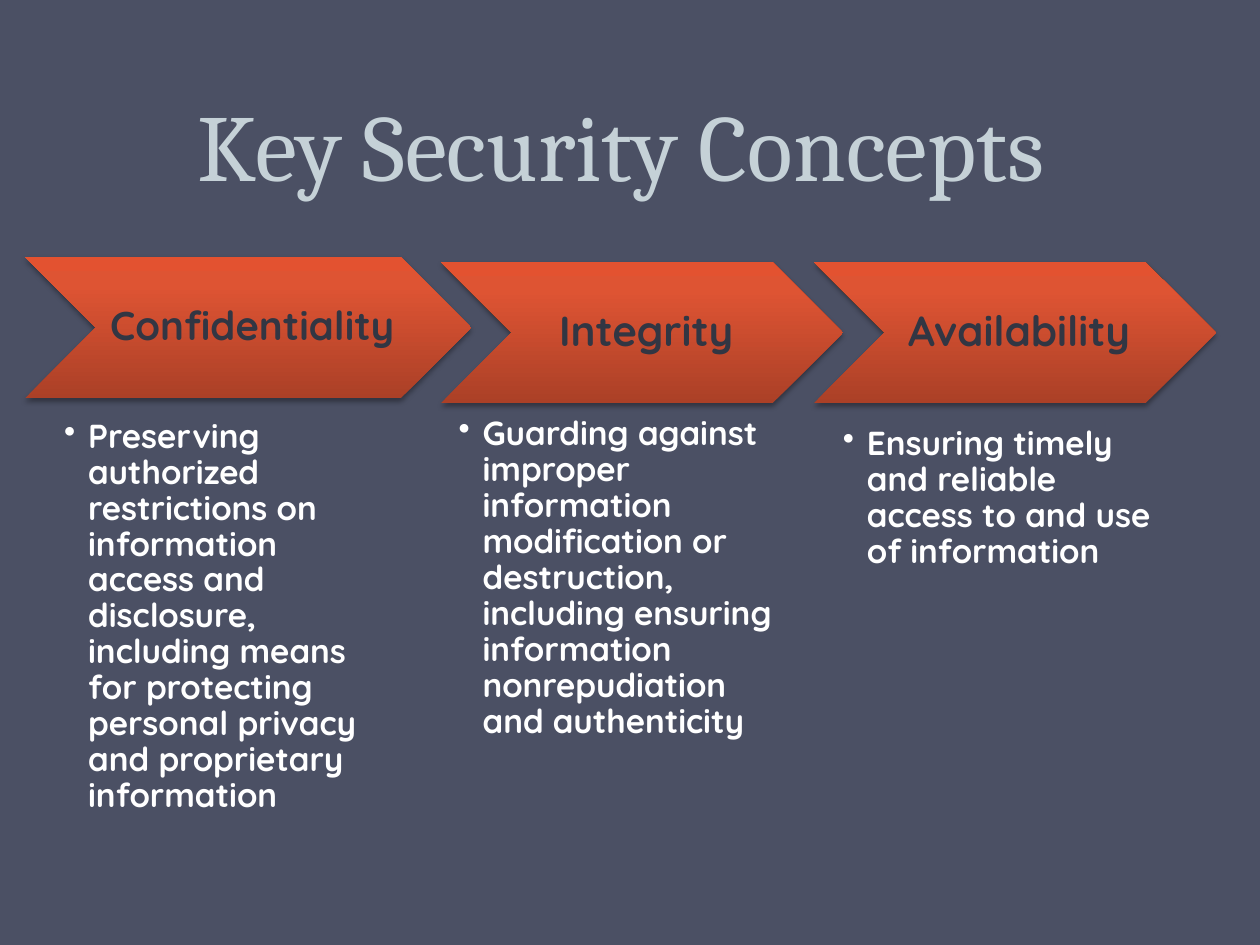
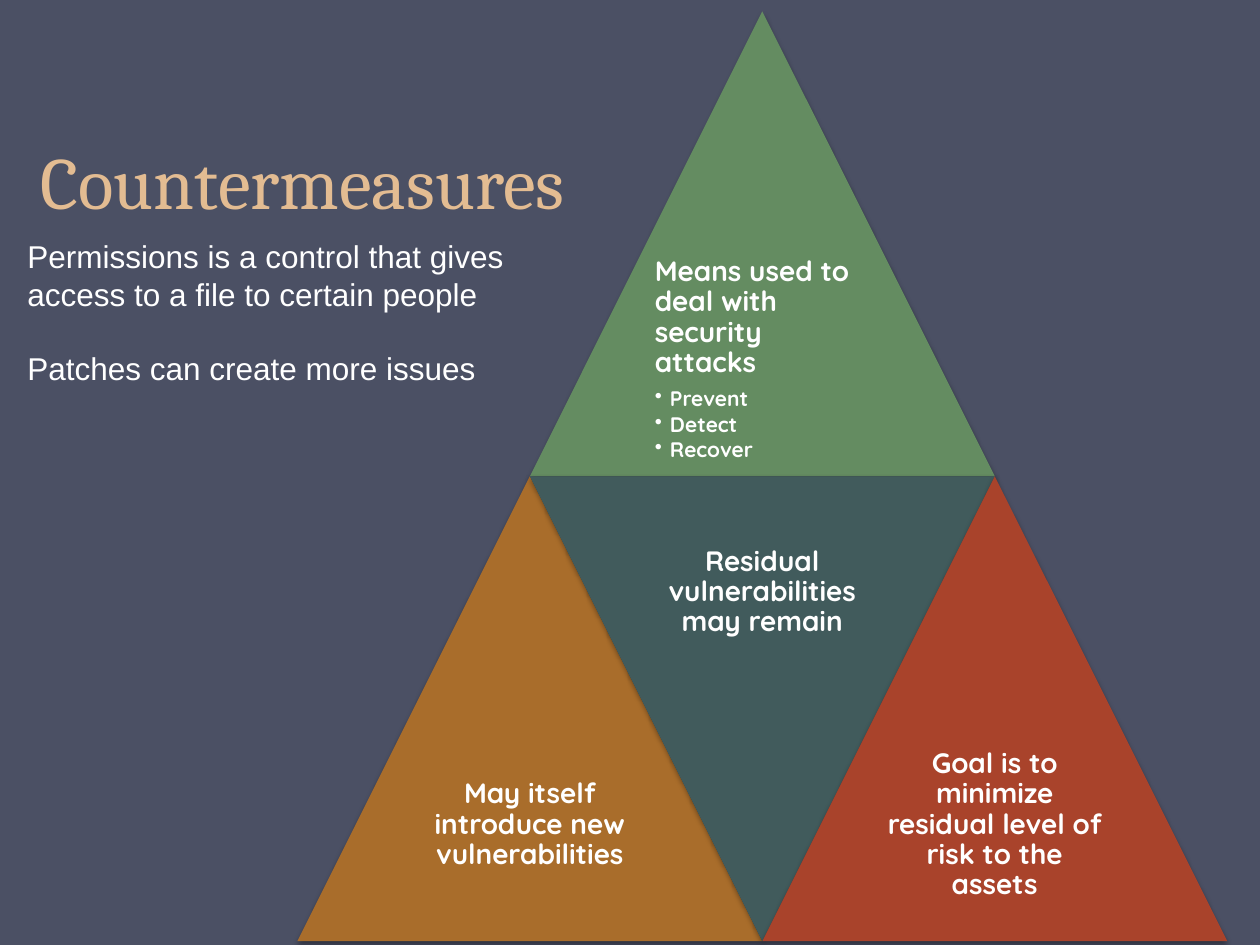
from lxml.etree import SubElement
from pptx import Presentation
from pptx.dml.color import RGBColor as RGB
from pptx.enum.shapes import MSO_SHAPE as SHAPE
from pptx.enum.text import MSO_ANCHOR as ANCHOR, PP_ALIGN as ALIGN
from pptx.oxml.ns import qn
from pptx.util import Inches, Pt

COLORS = {
    "back": "4B5064", "white": "FFFFFF", "dark": "323643",
    "silver": "C5D1D7", "sand": "E3BC92", "shadow": "000000",
    "green": "648C61", "brown": "A96D2B", "teal": "415B5C", "red": "A9432B",
}
ARROW_STOPS = [(0, "AB4027"), (80, "DE5433"), (100, "E35230")]
TITLE = {"font": "Cambria", "line_spacing": Pt(58), "alignment": ALIGN.CENTER}
BODY = {"font": "Quicksand", "bold": True, "line_spacing": 0.9}
MARGINS = ("margin_left", "margin_top", "margin_right", "margin_bottom")
CONCEPTS = [
    ("Confidentiality", 23, (0.2, 2.04, 3.54), (0.51, 3.33, 2.55, 3.89),
     "Preserving authorized restrictions on information access and disclosure, "
     "including means for protecting personal privacy and proprietary information"),
    ("Integrity", 24, (3.5, 2.08, 3.19), (3.64, 3.31, 2.55, 3.73),
     "Guarding against improper information modification or destruction, "
     "including ensuring information nonrepudiation and authenticity"),
    ("Availability", 24, (6.46, 2.08, 3.19), (6.69, 3.39, 2.55, 3.73),
     "Ensuring timely and reliable access to and use of information"),
]


def add_slide(prs):
    """Add a blank slide with the shared background."""
    slide = prs.slides.add_slide(prs.slide_layouts[6])
    fill = slide.background.fill
    fill.solid()
    fill.fore_color.rgb = RGB.from_string(COLORS["back"])
    return slide


def add_text(slide, box, insets=(0.1, 0.05, 0.1, 0.05), anchor=ANCHOR.TOP):
    """Add an empty wrapping text box and return its frame."""
    tf = slide.shapes.add_textbox(*map(Inches, box)).text_frame
    tf.word_wrap = True
    tf.vertical_anchor = anchor
    for name, inset in zip(MARGINS, insets):
        setattr(tf, name, Inches(inset))
    return tf


def add_para(tf, text, size, color="white", font="Arial", bold=False, indent=0, **formats):
    """Write one paragraph, with a hanging bullet if it has an indent."""
    p = tf.paragraphs[0]
    if p.runs:
        p = tf.add_paragraph()
    for name, value in formats.items():
        setattr(p, name, value)
    if indent:
        p.level = 1
        pPr = p._p.get_or_add_pPr()
        pPr.set("marL", str(Inches(indent)))
        pPr.set("indent", str(-Inches(indent)))
        SubElement(pPr, qn("a:buChar"), char="•")
    r = p.add_run()
    r.text = text
    for name, value in {"size": Pt(size), "name": font, "bold": bold}.items():
        setattr(r.font, name, value)
    r.font.color.rgb = RGB.from_string(COLORS[color])


def add_heading(tf, text, size, color="white", alignment=ALIGN.CENTER):
    """Write a diagram label."""
    add_para(tf, text, size, color, alignment=alignment,
             space_after=Pt(0.35 * size), **BODY)


def add_bullet(tf, text, size, indent):
    """Write a diagram bullet."""
    add_para(tf, text, size, indent=indent, space_after=Pt(0.15 * size), **BODY)


def add_title(slide, box, text, size, color):
    """Add the slide title."""
    add_para(add_text(slide, box, anchor=ANCHOR.BOTTOM), text, size, color, **TITLE)


def add_shadowed(slide, kind, box):
    """Add an unlined shape with a soft shadow below it."""
    sp = slide.shapes.add_shape(kind, *map(Inches, box))
    sp.line.fill.background()
    sp.shadow.inherit = False
    effects = sp._element.spPr.find(qn("a:effectLst"))
    shadow = SubElement(effects, qn("a:outerShdw"), blurRad=str(Pt(3.1)),
                        dist=str(Pt(1.8)), dir="5400000", rotWithShape="0")
    color = SubElement(shadow, qn("a:srgbClr"), val=COLORS["shadow"])
    SubElement(color, qn("a:alpha"), val="35000")
    return sp


def add_concept(slide, name, size, arrow, body, text):
    """Add a labelled chevron and the bullet below it."""
    left, top, width = arrow
    height = 1.12
    sp = add_shadowed(slide, SHAPE.CHEVRON, (left, top, width, height))
    sp.fill.gradient()
    sp.fill.gradient_angle = 90
    stops = sp._element.spPr.find(".//" + qn("a:gsLst"))
    stops.clear()
    for pos, color in ARROW_STOPS:
        gs = SubElement(stops, qn("a:gs"), pos=str(pos * 1000))
        SubElement(gs, qn("a:srgbClr"), val=color)
    label = (left + height / 2, top, width - height, height)
    tf = add_text(slide, label, (0.1, 0.03, 0.03, 0.03), ANCHOR.MIDDLE)
    add_heading(tf, name, size, "dark")
    add_bullet(add_text(slide, body, (0, 0, 0, 0)), text, 19, 0.19)


def add_triangle(slide, box, color, text, bullets=(), flipped=False):
    """Add a triangle with its text in the widest half."""
    left, top, side = box
    sp = add_shadowed(slide, SHAPE.ISOSCELES_TRIANGLE, (left, top, side, side))
    sp.fill.solid()
    sp.fill.fore_color.rgb = RGB.from_string(COLORS[color])
    sp.rotation = 180 if flipped else 0
    label_top = top if flipped else top + side / 2
    tf = add_text(slide, (left + side / 4, label_top, side / 2, side / 2),
                  (0.07,) * 4, ANCHOR.MIDDLE)
    add_heading(tf, text, 16, alignment=ALIGN.LEFT if bullets else ALIGN.CENTER)
    for bullet in bullets:
        add_bullet(tf, bullet, 12, 0.12)


def add_pyramid(slide, left, top, side):
    """Stack four triangles into one pyramid."""
    mid, low = left + side / 2, top + side
    add_triangle(slide, (mid, top, side), "green", "Means used to deal with security attacks",
                 ("Prevent", "Detect", "Recover"))
    add_triangle(slide, (left, low, side), "brown", "May itself introduce new vulnerabilities")
    add_triangle(slide, (mid, low, side), "teal", "Residual vulnerabilities may remain",
                 flipped=True)
    add_triangle(slide, (left + side, low, side), "red",
                 "Goal is to minimize residual level of risk to the assets")


def build_concepts(prs):
    """Build the slide of key concepts."""
    slide = add_slide(prs)
    add_title(slide, (0.43, -0.11, 9, 1.75), "Key Security Concepts", 54, "silver")
    for concept in CONCEPTS:
        add_concept(slide, *concept)


def build_countermeasures(prs):
    """Build the slide of countermeasures."""
    slide = add_slide(prs)
    add_title(slide, (-0.67, 0.44, 6.14, 1.39), "Countermeasures", 42, "sand")
    add_pyramid(slide, 2.36, 0.09, 3.69)
    tf = add_text(slide, (0.12, 1.83, 4.17, 1.31))
    add_para(tf, "Permissions is a control that gives access to a file to certain people", 18,
             space_after=Pt(21))
    add_para(tf, "Patches can create more issues", 18)


def main():
    """Build and save the presentation."""
    prs = Presentation()
    prs.slide_width, prs.slide_height = Inches(10), Inches(7.5)
    build_concepts(prs)
    build_countermeasures(prs)
    prs.save("out.pptx")


if __name__ == "__main__":
    main()
